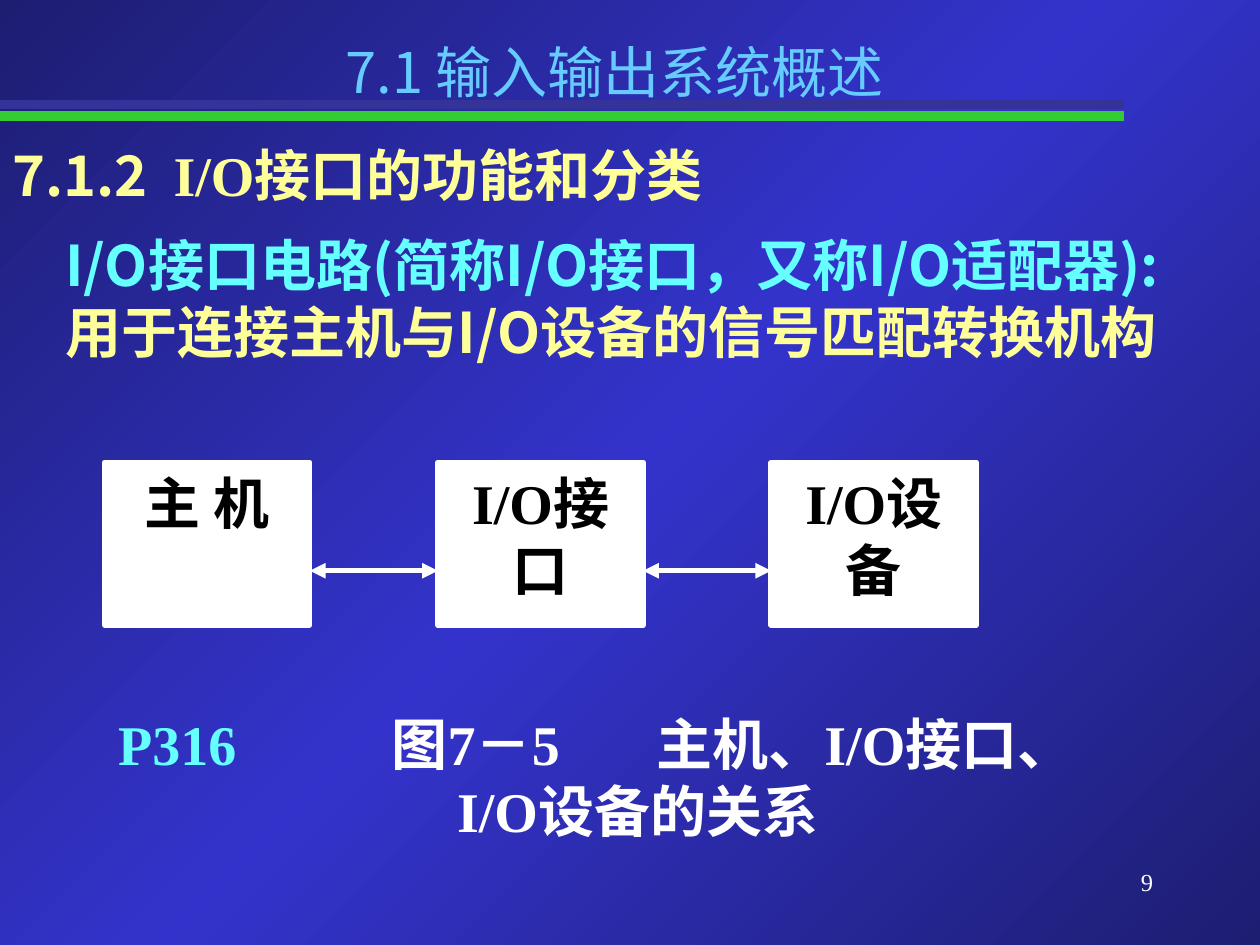
from copy import deepcopy

from pptx import Presentation
from pptx.dml.color import RGBColor
from pptx.enum.shapes import MSO_CONNECTOR as Connector, MSO_SHAPE as Shape
from pptx.enum.text import MSO_ANCHOR as Anchor, PP_ALIGN as Align
from pptx.oxml.ns import qn
from pptx.oxml.xmlchemy import OxmlElement
from pptx.util import Inches, Pt

NAVY = RGBColor(0x1D, 0x1D, 0x72)
BLUE = RGBColor(0x33, 0x33, 0xCC)
INDIGO = RGBColor(0x33, 0x33, 0x99)
GREEN = RGBColor(0x33, 0xCC, 0x33)
YELLOW = RGBColor(0xFF, 0xFF, 0x99)
CYAN = RGBColor(0x66, 0xFF, 0xFF)
SKY = RGBColor(0x66, 0xCC, 0xFF)
WHITE = RGBColor(0xFF, 0xFF, 0xFF)
BLACK = RGBColor(0, 0, 0)
SANS = "Noto Sans CJK SC"
SERIF = "Times New Roman"


def write(shape, *lines, align=Align.LEFT, size=32, bold=True, tabs=()):
    """Fill a shape with lines, each a list of (text, font name, colour)."""
    frame = shape.text_frame
    frame.word_wrap = True
    frame.vertical_anchor = Anchor.TOP
    for index, line in enumerate(lines):
        paragraph = frame.add_paragraph() if index else frame.paragraphs[0]
        paragraph.alignment = align
        if tabs:
            tab_list = OxmlElement("a:tabLst")
            for position in tabs:
                tab = OxmlElement("a:tab")
                tab.set("pos", str(Inches(position)))
                tab.set("algn", "l")
                tab_list.append(tab)
            paragraph._p.get_or_add_pPr().append(tab_list)
        for text, name, color in line:
            run = paragraph.add_run()
            run.text = text
            run.font.size = Pt(size)
            run.font.bold = bold
            run.font.name = name
            run.font.color.rgb = color
            east_asian = OxmlElement("a:ea")
            east_asian.set("typeface", SANS)
            run._r.get_or_add_rPr().append(east_asian)


def add_line(left, right, top, color, width, arrows=False):
    """Draw a horizontal line, with an arrowhead at both ends if asked."""
    connector = slide.shapes.add_connector(
        Connector.STRAIGHT, Inches(left), Inches(top), Inches(right), Inches(top))
    connector.line.color.rgb = color
    connector.line.width = Pt(width)
    connector._element.spPr.append(OxmlElement("a:effectLst"))
    if arrows:
        for tag in ("a:headEnd", "a:tailEnd"):
            end = OxmlElement(tag)
            end.set("type", "triangle")
            connector.line._get_or_add_ln().append(end)


presentation = Presentation()
presentation.slide_width = Inches(10)
presentation.slide_height = Inches(7.5)
slide = presentation.slides.add_slide(presentation.slide_layouts[5])

# Background: dark corners with a bright diagonal
fill = slide.background.fill
fill.gradient()
fill.gradient_angle = 315
stop_list = slide._element.find(".//" + qn("a:gsLst"))
stop_list.append(deepcopy(stop_list[-1]))
for stop, position, color in zip(fill.gradient_stops, (0, 0.5, 1), (NAVY, BLUE, NAVY)):
    stop.position = position
    stop.color.rgb = color

# Title and the double rule below it
title = slide.shapes.title
title.left, title.top = Inches(1.17), Inches(0.25)
title.width, title.height = Inches(7.42), Inches(0.63)
write(title, [("7.1 输入输出系统概述", SANS, SKY)], align=Align.CENTER, bold=False)
add_line(0, 8.92, 0.92, GREEN, 5.5)
add_line(0, 8.92, 0.83, INDIGO, 5.5)

# Section heading
heading = slide.shapes.add_textbox(Inches(0), Inches(1.07), Inches(9.08), Inches(0.63))
write(heading, [("7.1.2\t", SANS, YELLOW), ("I/O", SERIF, YELLOW),
                ("接口的功能和分类", SANS, YELLOW)], tabs=[1.28])

# Definition
definition = slide.shapes.add_textbox(Inches(0.42), Inches(1.78), Inches(9.58), Inches(1.17))
write(definition,
      [("I/O接口电路(简称I/O接口，又称I/O适配器):", SANS, CYAN)],
      [("用于连接主机与I/O设备的信号匹配转换机构", SANS, YELLOW)])

# Three blocks joined by two-way arrows below their middle
BLOCK_LEFT, BLOCK_WIDTH, BLOCK_STEP = 0.83, 1.63, 2.645
for index, label in enumerate(("主 机", "I/O接口", "I/O设备")):
    left = BLOCK_LEFT + index * BLOCK_STEP
    block = slide.shapes.add_shape(
        Shape.RECTANGLE, Inches(left), Inches(3.67), Inches(BLOCK_WIDTH), Inches(1.29))
    block.shadow.inherit = False
    block.fill.solid()
    block.fill.fore_color.rgb = WHITE
    block.line.color.rgb = WHITE
    block.line.width = Pt(3)
    write(block, [(label, SERIF, BLACK)], align=Align.CENTER)
    if index:
        add_line(left - BLOCK_STEP + BLOCK_WIDTH, left, 4.53, WHITE, 3, arrows=True)

# Page reference and caption, placed by tab stops
caption = slide.shapes.add_textbox(Inches(0.42), Inches(5.58), Inches(8.83), Inches(0.69))
write(caption,
      [("\tP316", SERIF, CYAN), ("\t图7－5\t主机、I/O接口、", SERIF, WHITE)],
      [("\t\tI/O设备的关系", SERIF, WHITE)],
      tabs=[0.42, 2.59, 4.69])
second_line_tabs = caption.text_frame.paragraphs[1]._p.pPr.find(qn("a:tabLst"))
second_line_tabs[1].set("pos", str(Inches(3.11)))

# Page number
number = slide.shapes.add_textbox(Inches(7.17), Inches(6.83), Inches(2.08), Inches(0.5))
write(number, [("9", SERIF, WHITE)], align=Align.RIGHT, size=14, bold=False)

presentation.save("out.pptx")
